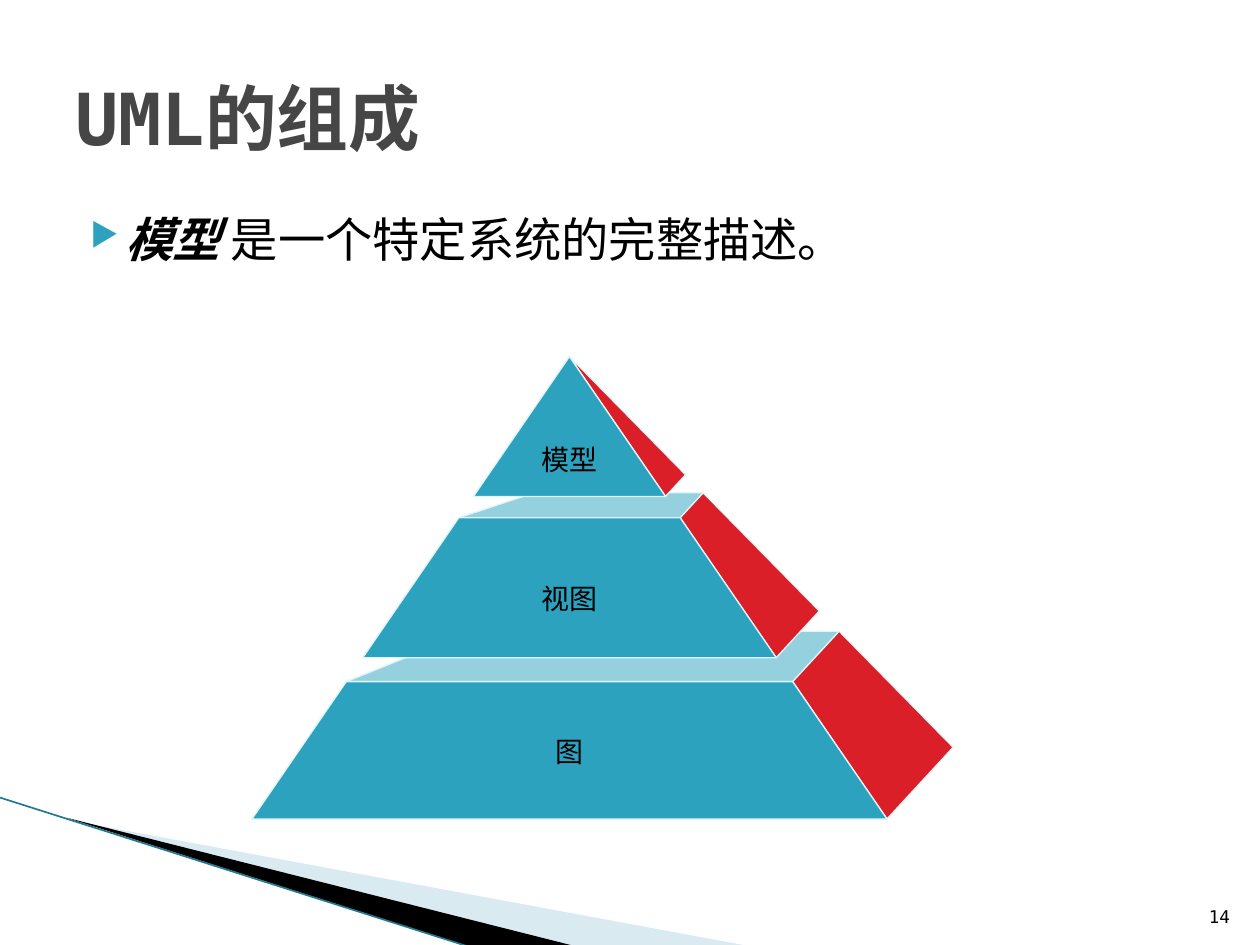
from dataclasses import dataclass

from lxml import etree
from pptx import Presentation
from pptx.dml.color import RGBColor
from pptx.enum import shapes, text
from pptx.oxml.ns import qn
from pptx.util import Inches, Pt


@dataclass(frozen=True)
class Theme:
    """Colours, fonts and type sizes of the slide."""
    ink: str = "000000"
    heading: str = "464646"
    front: str = "2DA2BF"
    side: str = "DA1F28"
    edge: str = "DEF5FA"
    swoosh: str = "A0CBDC"
    swoosh_line: str = "1F7A90"
    mono: str = "DejaVu Sans Mono"
    sans: str = "Arial"
    title_size: int = 41
    body_size: int = 27
    label_size: int = 16
    number_size: int = 10


THEME = Theme()


@dataclass(frozen=True)
class Tier:
    """One level of the pyramid, measured down from the apex."""
    label: str
    top: float
    bottom: float
    back_shift: float
    label_top: float
    label_width: float


TIERS = (
    Tier("图", 2.58, 3.67, 0.99, 3.0, 3.6),
    Tier("视图", 1.28, 2.39, 0.6, 1.78, 1.88),
    Tier("模型", 0, 1.11, 0, 0.68, 0.71),
)


def add_polygon(slide, points, fill, alpha=None, edge=None):
    """Draw a closed outline through points given in inches."""
    corners = [(Inches(x), Inches(y)) for x, y in points]
    builder = slide.shapes.build_freeform(*corners[0])
    builder.add_line_segments(corners[1:], close=True)
    polygon = builder.convert_to_shape()
    polygon.shadow.inherit = False
    polygon.fill.solid()
    polygon.fill.fore_color.rgb = RGBColor.from_string(fill)
    if alpha:
        color = polygon.fill._xPr.find(qn("a:solidFill"))[0]
        etree.SubElement(color, qn("a:alpha"), val=str(alpha * 1000))
    if edge:
        polygon.line.color.rgb = RGBColor.from_string(edge)
        polygon.line.width = Pt(0.75)
    else:
        polygon.line.fill.background()


def add_text_frame(slide, box, anchor, align, inset=None):
    """Add a wrapping text box and return its frame."""
    frame = slide.shapes.add_textbox(*map(Inches, box)).text_frame
    frame.word_wrap = True
    frame.vertical_anchor = anchor
    frame.paragraphs[0].alignment = align
    if inset is not None:
        frame.margin_left = frame.margin_right = Inches(inset)
        frame.margin_top = frame.margin_bottom = Inches(inset)
    return frame


def add_run(paragraph, wording, size, face, color, bold=False, italic=False):
    """Append one styled run."""
    run = paragraph.add_run()
    run.text = wording
    run.font.size = Pt(size)
    run.font.name = face
    run.font.bold = bold
    run.font.italic = italic
    run.font.color.rgb = RGBColor.from_string(color)


def add_swoosh(slide, box):
    """Draw the sweeping wedges and line in the lower left corner."""
    left, top, width, height = box
    bottom = top + height
    add_polygon(slide, [(left + 0.55, top + 0.18), (left + 5.95, bottom),
                        (left + 4.56, bottom)], THEME.swoosh, alpha=40)
    add_polygon(slide, [(left + 0.53, top + 0.16), (left + 4.57, bottom),
                        (left + 3.72, bottom)], THEME.ink)
    rim = slide.shapes.add_connector(
        shapes.MSO_CONNECTOR.STRAIGHT, Inches(left), Inches(top),
        Inches(left + 3.71), Inches(bottom))
    rim.line.color.rgb = RGBColor.from_string(THEME.swoosh_line)
    rim.line.width = Pt(0.95)
    etree.SubElement(rim._element.spPr, qn("a:effectLst"))


def add_title(slide, box):
    """Place the slide title."""
    frame = add_text_frame(slide, box, text.MSO_ANCHOR.MIDDLE, text.PP_ALIGN.LEFT)
    add_run(frame.paragraphs[0], "UML的组成", THEME.title_size, THEME.mono,
            THEME.heading, bold=True)


def add_definition(slide, box):
    """Place the bulleted definition."""
    frame = add_text_frame(slide, box, text.MSO_ANCHOR.TOP, text.PP_ALIGN.LEFT)
    paragraph = frame.paragraphs[0]
    props = paragraph._p.get_or_add_pPr()
    props.set("marL", str(Inches(0.4)))
    props.set("indent", str(Inches(-0.28)))
    bullet_color = etree.SubElement(props, qn("a:buClr"))
    etree.SubElement(bullet_color, qn("a:srgbClr"), val=THEME.front)
    etree.SubElement(props, qn("a:buSzPct"), val="68000")
    etree.SubElement(props, qn("a:buChar"), char="▶")
    style = (THEME.body_size, THEME.mono, THEME.ink)
    add_run(paragraph, "模型 ", *style, bold=True, italic=True)
    add_run(paragraph, "是一个特定系统的完整描述。", *style)


def add_pyramid(slide, box):
    """Draw the three-tier pyramid with its labels."""
    left, top, width, height = box
    apex = left + 2.52
    slope = 2.52 / height

    def front_corner(depth, direction):
        return apex + direction * slope * depth, top + depth

    def back_corner(depth):
        x, y = front_corner(depth, 1)
        return x + 0.143 * depth, y - 0.155 * depth

    for tier in TIERS:
        top_left, top_right = (front_corner(tier.top, d) for d in (-1, 1))
        low_left, low_right = (front_corner(tier.bottom, d) for d in (-1, 1))
        back = back_corner(tier.top)
        if tier.top:
            back_left = (top_left[0] + tier.back_shift, back[1])
            add_polygon(slide, [top_left, top_right, back, back_left],
                        THEME.front, alpha=50, edge=THEME.edge)
            front = [low_left, low_right, top_right, top_left]
            side = [top_right, low_right, back_corner(tier.bottom), back]
        else:
            front = [low_left, low_right, top_right]
            side = [top_right, low_right, back_corner(tier.bottom)]
        add_polygon(slide, side, THEME.side, edge=THEME.edge)
        add_polygon(slide, front, THEME.front, edge=THEME.edge)

    for tier in TIERS:
        label_box = (apex - tier.label_width / 2, top + tier.label_top,
                     tier.label_width, 0.27)
        frame = add_text_frame(slide, label_box, text.MSO_ANCHOR.MIDDLE,
                               text.PP_ALIGN.CENTER, inset=0)
        add_run(frame.paragraphs[0], tier.label, THEME.label_size, THEME.sans, THEME.ink)


def add_page_number(slide, box):
    """Place the page number."""
    frame = add_text_frame(slide, box, text.MSO_ANCHOR.BOTTOM, text.PP_ALIGN.RIGHT)
    add_run(frame.paragraphs[0], "14", THEME.number_size, THEME.mono, THEME.ink)


def main():
    """Build and save the slide."""
    deck = Presentation()
    deck.slide_width, deck.slide_height = Inches(10), Inches(7.5)
    slide = deck.slides.add_slide(deck.slide_layouts[6])
    add_swoosh(slide, (0, 6.33, 5.95, 1.18))
    add_page_number(slide, (9.46, 7.01, 0.4, 0.4))
    add_title(slide, (0.5, 0.3, 9, 1.25))
    add_definition(slide, (0.5, 1.62, 9, 4.95))
    add_pyramid(slide, (2, 2.83, 5.57, 3.67))
    deck.save("out.pptx")


if __name__ == "__main__":
    main()
